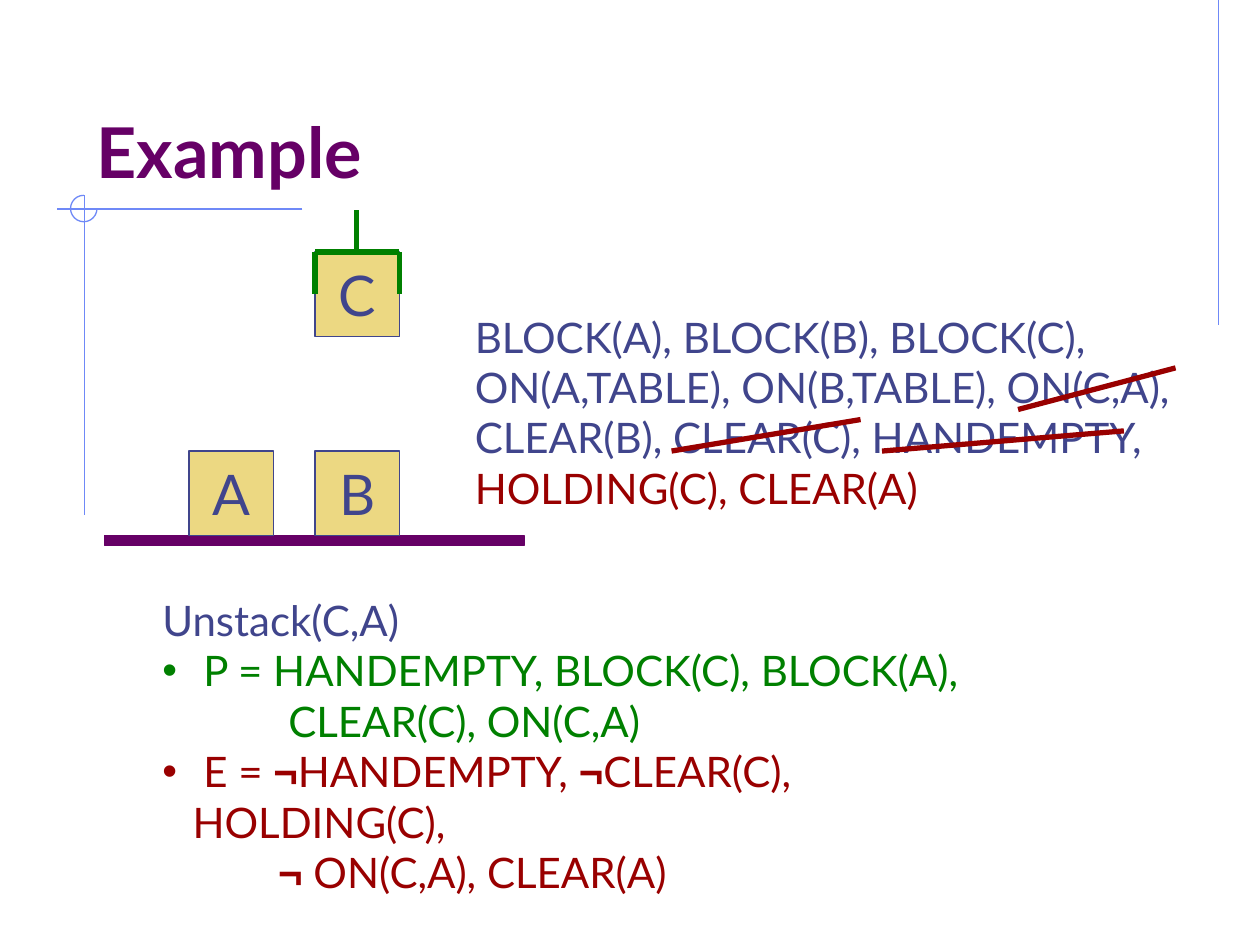
from lxml.etree import SubElement
from pptx import Presentation
from pptx.dml.color import RGBColor
from pptx.enum.shapes import MSO_CONNECTOR, MSO_SHAPE
from pptx.enum.text import MSO_ANCHOR as Anchor, PP_ALIGN as Align
from pptx.oxml.ns import qn
from pptx.util import Inches, Pt

INDIGO, PURPLE, GREEN, RED = "40458C", "660066", "008000", "990000"
SAND, RULE_BLUE = "ECD882", "6F89F7"


def rgb(value):
    return RGBColor.from_string(value)


def write(paragraph, text, color, size=24, bold=False):
    """Write text; the negation sign is bold Arial and a newline is a break."""
    marked = text.replace("¬", "|¬|").replace("\n", "|\n|")
    for part in filter(None, marked.split("|")):
        if part == "\n":
            paragraph.add_line_break()
            continue
        run = paragraph.add_run()
        run.text = part
        negation = part == "¬"
        style = {"name": "Arial" if negation else "Lato",
                 "size": Pt(size), "bold": bold or negation}
        for name, value in style.items():
            setattr(run.font, name, value)
        run.font.color.rgb = rgb(color)


prs = Presentation()
prs.slide_width, prs.slide_height = Inches(10), Inches(7.5)
slide = prs.slides.add_slide(prs.slide_layouts[6])
shapes = slide.shapes

# Corner ornament: three-quarter circle where the rules cross
ornament = shapes.add_shape(MSO_SHAPE.ARC, Inches(0.56), Inches(1.55),
                            Inches(0.21), Inches(0.21))
ornament.adjustments[0], ornament.adjustments[1] = 0, 162
ornament.shadow.inherit = False
ornament.fill.background()
ornament.line.color.rgb = rgb(RULE_BLUE)
ornament.line.width = Pt(0.75)

# Title
title = shapes.add_textbox(Inches(0.67), Inches(0.33), Inches(8.5), Inches(1.25))
title.text_frame.word_wrap = True
title.text_frame.vertical_anchor = Anchor.BOTTOM
write(title.text_frame.paragraphs[0], "Example", PURPLE, 40, True)

# Table top and blocks
BLOCK = 0.67
for label, left, top, width, height, fill, outline in [
    ("", 0.83, 4.25, 3.33, 0.08, PURPLE, PURPLE),
    ("A", 1.5, 3.58, BLOCK, BLOCK, SAND, INDIGO),
    ("B", 2.5, 3.58, BLOCK, BLOCK, SAND, INDIGO),
    ("C", 2.5, 2, BLOCK, BLOCK, SAND, INDIGO),
]:
    block = shapes.add_shape(MSO_SHAPE.RECTANGLE, Inches(left), Inches(top),
                             Inches(width), Inches(height))
    block.shadow.inherit = False
    block.fill.solid()
    block.fill.fore_color.rgb = rgb(fill)
    block.line.color.rgb = rgb(outline)
    block.line.width = Pt(0.75)
    if label:
        block.text_frame.word_wrap = False
        block.text_frame.vertical_anchor = Anchor.MIDDLE
        letter = block.text_frame.paragraphs[0]
        letter.alignment = Align.CENTER
        write(letter, label, INDIGO, 32)

# State and operator: (text, colour, left margin, bulleted)
HANG = 0.24
state = [
    ("BLOCK(A), BLOCK(B), BLOCK(C),", INDIGO, 0, False),
    ("ON(A,TABLE), ON(B,TABLE), ON(C,A),\nCLEAR(B), CLEAR(C), HANDEMPTY,",
     INDIGO, 0, False),
    ("HOLDING(C), CLEAR(A)", RED, 0, False),
]
operator = [
    ("Unstack(C,A)", INDIGO, 0, False),
    (" P = HANDEMPTY, BLOCK(C), BLOCK(A),", GREEN, HANG, True),
    ("CLEAR(C), ON(C,A)", GREEN, 1, False),
    (" E = ¬HANDEMPTY, ¬CLEAR(C), HOLDING(C),", RED, HANG, True),
    ("¬ ON(C,A), CLEAR(A)", RED, 0.92, False),
]
for lines, left, top, width, height, wraps in [
    (state, 3.67, 2.42, 5.94, 1.7, False),
    (operator, 1.19, 4.67, 7.2, 2.1, True),
]:
    frame = shapes.add_textbox(Inches(left), Inches(top),
                               Inches(width), Inches(height)).text_frame
    frame.word_wrap = wraps
    for number, (text, color, margin, bulleted) in enumerate(lines):
        line = frame.add_paragraph() if number else frame.paragraphs[0]
        props = line._p.get_or_add_pPr()
        props.set("marL", str(Inches(margin)))
        if bulleted:
            props.set("indent", str(-Inches(HANG)))
            tint = SubElement(props, qn("a:buClr"))
            SubElement(tint, qn("a:srgbClr"), val=color)
            SubElement(props, qn("a:buFont"), typeface="Arial")
            SubElement(props, qn("a:buChar"), char="•")
        write(line, text, color)

# Rules, gripper and strike-outs
rules = [(9.67, 0, 9.67, 2.58), (2.4, 1.66, 0.45, 1.66), (0.67, 1.55, 0.67, 4.09)]
gripper = [(2.5, 2, 3.17, 2), (2.5, 2, 2.5, 2.33),
           (2.83, 1.67, 2.83, 2), (3.17, 2, 3.17, 2.33)]
strikes = [(7, 3.58, 8.92, 3.42), (5.33, 3.58, 6.83, 3.33), (8.08, 3.25, 9.33, 2.92)]
for strokes, color, weight in [(rules, RULE_BLUE, 0.75), (gripper, GREEN, 3),
                               (strikes, RED, 3)]:
    for ends in strokes:
        stroke = shapes.add_connector(MSO_CONNECTOR.STRAIGHT, *map(Inches, ends))
        stroke.line.color.rgb = rgb(color)
        stroke.line.width = Pt(weight)
        SubElement(stroke._element.spPr, qn("a:effectLst"))

prs.save("out.pptx")
